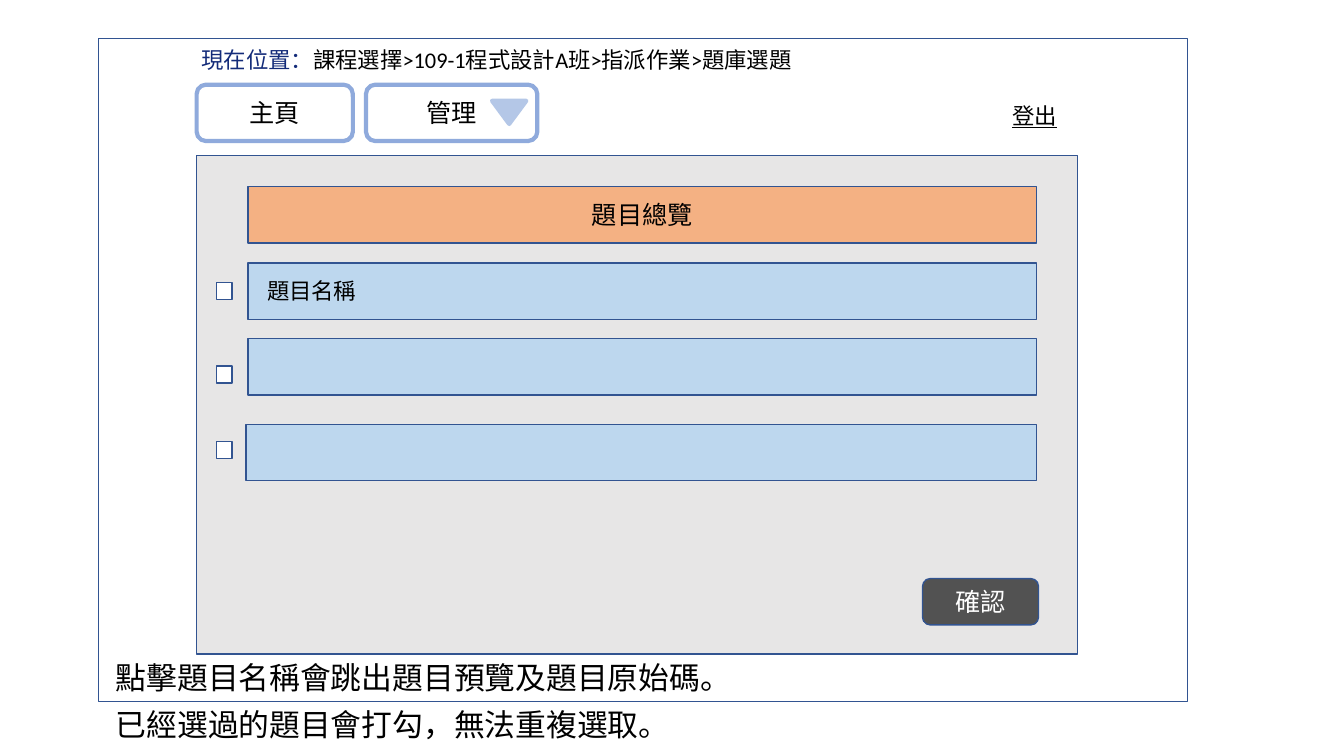
from pptx import Presentation
from pptx import util as u
from pptx.dml.color import RGBColor
from pptx.enum import shapes, text

PX = 9144  # EMU per px, 100 px to the inch
RECT = shapes.MSO_SHAPE.RECTANGLE
ROUND = shapes.MSO_SHAPE.ROUNDED_RECTANGLE
TRIANGLE = shapes.MSO_SHAPE.FLOWCHART_EXTRACT
CENTER = text.PP_ALIGN.CENTER
NAVY, PERIWINKLE, PALE_BLUE = "325491", "8FAADC", "B4C7E7"
BLACK, WHITE = "000000", "FFFFFF"


def color(value):
    return RGBColor.from_string(value)


def place(box, left, top, width, height):
    """Box in slide px, from an offset inside a parent box."""
    return box[0] + left, box[1] + top, width, height


def emu(box):
    return [u.Emu(length * PX) for length in box]


def write(shape, runs, size, align=None, **formats):
    """Fill the first paragraph with (words, colour) runs."""
    paragraph = shape.text_frame.paragraphs[0]
    if align is not None:
        paragraph.alignment = align
    for words, ink in runs:
        run = paragraph.add_run()
        run.text = words
        values = {"name": "Calibri", "size": u.Pt(size), **formats}
        for name, value in values.items():
            setattr(run.font, name, value)
        run.font.color.rgb = color(ink)


def add_block(slide, kind, box, fill, line=NAVY, weight=1, label="", ink=BLACK):
    shape = slide.shapes.add_shape(kind, *emu(box))
    shape.shadow.inherit = False
    if fill:
        shape.fill.solid()
        shape.fill.fore_color.rgb = color(fill)
    else:
        shape.fill.background()
    shape.line.color.rgb = color(line)
    shape.line.width = u.Pt(weight)
    if label:
        shape.text_frame.vertical_anchor = text.MSO_ANCHOR.MIDDLE
        write(shape, [(label, ink)], 18, CENTER)
    return shape


def add_text(slide, box, runs, size, align=None, **formats):
    shape = slide.shapes.add_textbox(*emu(box))
    shape.text_frame.word_wrap = True
    shape.text_frame.auto_size = text.MSO_AUTO_SIZE.SHAPE_TO_FIT_TEXT
    write(shape, runs, size, align, **formats)


def add_header(slide, box):
    # Breadcrumb
    add_text(slide, place(box, 92, 3, 783, 37),
             [("現在位置：", "132B79"),
              ("課程選擇>109-1程式設計A班>指派作業>題庫選題", BLACK)], 16)

    # Menu buttons
    add_block(slide, ROUND, place(box, 97, 46, 155, 56), None,
              PERIWINKLE, 3, "主頁")
    add_block(slide, ROUND, place(box, 265, 46, 170, 56), WHITE,
              PERIWINKLE, 3, "管理")
    arrow = add_block(slide, TRIANGLE, place(box, 390, 62, 34, 23),
                      PALE_BLUE, PALE_BLUE, 3)
    arrow.rotation = 180

    # Log-out link
    add_text(slide, place(box, 869, 58, 118, 37), [("登出", BLACK)], 16,
             CENTER, underline=True)


def add_question_panel(slide, box):
    add_block(slide, RECT, box, "E7E6E6")
    add_block(slide, RECT, place(box, 51, 31, 782, 56), "F4B183",
              label="題目總覽")

    # Question rows: bar left, top and width, then checkbox top
    rows = [(51, 107, 782, 126), (51, 182, 782, 209), (49, 267, 784, 284)]
    for left, top, width, check_top in rows:
        add_block(slide, RECT, place(box, left, top, width, 56), "BDD7EE")
        add_block(slide, RECT, place(box, 20, check_top, 15, 17), WHITE)
    add_text(slide, place(box, 60, 116, 132, 37), [("題目名稱", BLACK)], 16)

    # Confirm button
    add_block(slide, ROUND, place(box, 720, 420, 115, 46), "525252",
              label="確認", ink=WHITE)


def add_notes_below(slide, box):
    lines = ["點擊題目名稱會跳出題目預覽及題目原始碼。",
             "已經選過的題目會打勾，無法重複選取。"]
    for index, line in enumerate(lines):
        add_text(slide, place(box, 0, index * 46, box[2], 47),
                 [(line, BLACK)], 22)


def main():
    presentation = Presentation()
    presentation.slide_width = u.Emu(1333 * PX)
    presentation.slide_height = u.Emu(750 * PX)
    slide = presentation.slides.add_slide(presentation.slide_layouts[6])

    window = (98, 38, 1080, 658)
    add_block(slide, RECT, window, WHITE)
    add_question_panel(slide, place(window, 97, 116, 874, 495))
    add_header(slide, window)
    add_notes_below(slide, place(window, 7, 611, 906, 93))

    presentation.save("out.pptx")


if __name__ == "__main__":
    main()
